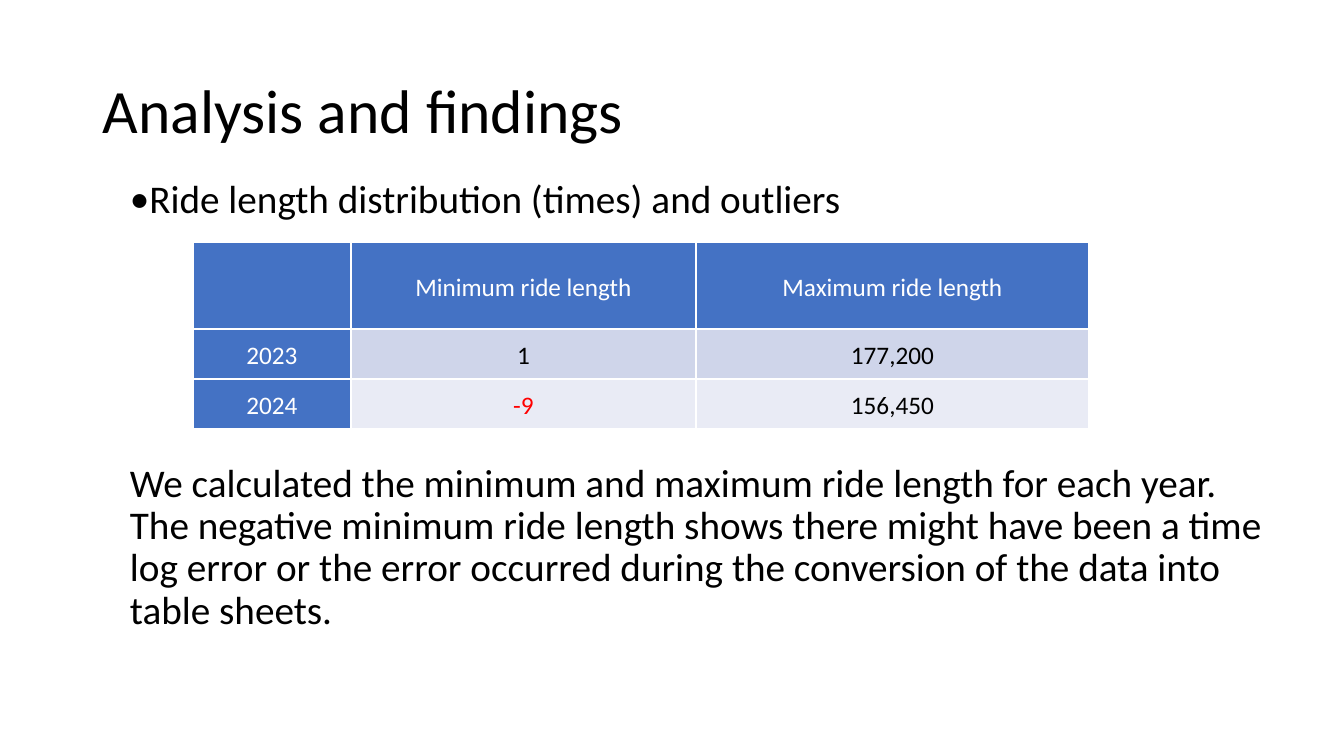
import lxml.etree
import pptx
import pptx.dml.color
import pptx.enum.text
import pptx.oxml.ns
import pptx.util

PX = 914400 / 100.8
WHITE, BLACK, RED = "FFFFFF", "000000", "FF0000"
BLUE, BAND_DARK, BAND_LIGHT = "4472C4", "CFD5EA", "E9EBF5"
MIDDLE = pptx.enum.text.MSO_ANCHOR.MIDDLE
qn = pptx.oxml.ns.qn
rgb = pptx.dml.color.RGBColor.from_string


def px(*lengths):
    return [pptx.util.Emu(round(length * PX)) for length in lengths]


def style(para, size, color, spacing):
    para.line_spacing = spacing
    for span in para.runs:
        span.font.name = "Calibri"
        span.font.size = pptx.util.Pt(size)
        span.font.bold = False
        span.font.color.rgb = rgb(color)


deck = pptx.Presentation()
deck.slide_width, deck.slide_height = px(1344, 756)
page = deck.slides.add_slide(deck.slide_layouts[6])

title = page.shapes.add_textbox(*px(93, 41, 1159, 146)).text_frame
title.word_wrap = True
title.vertical_anchor = MIDDLE
title.text = "Analysis and findings"
style(title.paragraphs[0], 44, BLACK, 0.9)

body = page.shapes.add_textbox(*px(120, 175, 1159, 480)).text_frame
body.word_wrap = True
body.text = "Ride length distribution (times) and outliers"
topic = body.paragraphs[0]
topic_properties = topic._p.get_or_add_pPr()
lxml.etree.SubElement(topic_properties, qn("a:buFont"), typeface="Calibri")
lxml.etree.SubElement(topic_properties, qn("a:buChar"), char="•")
finding = body.add_paragraph()
finding.text = (
    "We calculated the minimum and maximum ride length for each year. "
    "The negative minimum ride length shows there might have been a time log error "
    "or the error occurred during the conversion of the data into table sheets."
)
finding.space_before = pptx.util.Pt(172)
for para in body.paragraphs:
    style(para, 28, BLACK, 0.9)

rides = [
    ["", "Minimum ride length", "Maximum ride length"],
    ["2023", "1", "177,200"],
    ["2024", "-9", "156,450"],
]
row_fills = [BLUE, BAND_DARK, BAND_LIGHT]
table = page.shapes.add_table(3, 3, *px(193, 242, 896, 187)).table
for column, width in zip(table.columns, px(158, 345, 393)):
    column.width = width
for row, height in zip(table.rows, px(87, 50, 50)):
    row.height = height

for r, values in enumerate(rides):
    for c, value in enumerate(values):
        heading = r == 0 or c == 0
        cell = table.cell(r, c)
        cell.text = value
        cell.vertical_anchor = MIDDLE
        cell.margin_left, cell.margin_right = px(7, 7)
        cell.margin_top = cell.margin_bottom = 0
        cell.fill.solid()
        cell.fill.fore_color.rgb = rgb(BLUE if heading else row_fills[r])
        para = cell.text_frame.paragraphs[0]
        para.alignment = pptx.enum.text.PP_ALIGN.CENTER
        color = WHITE if heading else RED if value.startswith("-") else BLACK
        style(para, 18, color, 1.15)

deck.save("out.pptx")
